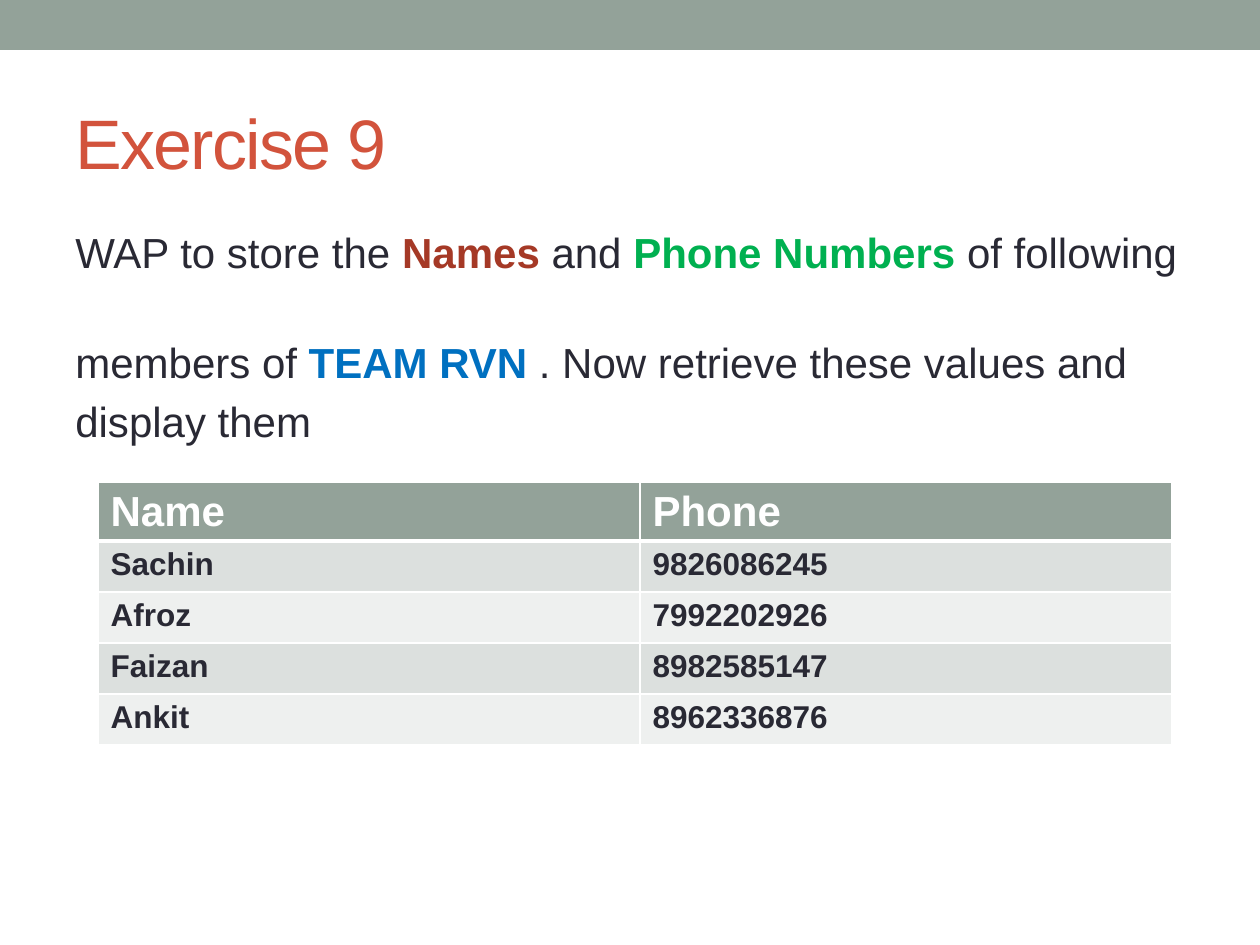
from lxml import etree
from pptx import Presentation
from pptx.dml.color import RGBColor
from pptx.enum.shapes import MSO_SHAPE
from pptx.enum.text import MSO_ANCHOR, PP_ALIGN
from pptx.oxml.ns import qn
from pptx.util import Pt

RECT = MSO_SHAPE.RECTANGLE
MIDDLE = MSO_ANCHOR.MIDDLE
LEFT = PP_ALIGN.LEFT

SAGE = RGBColor(0x93, 0xA2, 0x99)
BAND_DARK = RGBColor(0xDC, 0xE0, 0xDE)
BAND_LIGHT = RGBColor(0xEE, 0xF0, 0xEF)
WHITE = RGBColor(0xFF, 0xFF, 0xFF)
INK = RGBColor(0x29, 0x29, 0x34)
ORANGE = RGBColor(0xD2, 0x53, 0x3C)
RUST = RGBColor(0xA5, 0x39, 0x26)
GREEN = RGBColor(0x00, 0xB0, 0x50)
BLUE = RGBColor(0x00, 0x70, 0xC0)


def px(*values):
    return [round(v * 914400 / 126) for v in values]


def add_run(p, text, color, **fmt):
    r = p.add_run()
    r.text = text
    r.font.color.rgb = color
    for name, value in {"name": "Arial", **fmt}.items():
        setattr(r.font, name, value)
    return r


prs = Presentation()
prs.slide_width, prs.slide_height = px(1260, 945)
s = prs.slides.add_slide(prs.slide_layouts[5])

bar = s.shapes.add_shape(RECT, *px(0, 0, 1260, 50))
bar.shadow.inherit = False
bar.fill.solid()
bar.fill.fore_color.rgb = SAGE
bar.line.fill.background()

title = s.shapes.title
title.left, title.top, title.width, title.height = px(63, 73, 1134, 136)
tf = title.text_frame
tf.vertical_anchor = MIDDLE
p = tf.paragraphs[0]
p.alignment = LEFT
r = add_run(p, "Exercise 9", ORANGE, size=Pt(40))
r.font._element.set("spc", "-100")

lines = [
    (0, [("WAP to store the ", INK), ("Names", RUST), (" and ", INK),
         ("Phone Numbers ", GREEN), ("of following", INK)]),
    (34, [("members of ", INK), ("TEAM RVN ", BLUE),
          (". Now retrieve these values and", INK)]),
    (4.5, [("display them", INK)]),
]
body = s.shapes.add_textbox(*px(63, 220, 1134, 240))
tf = body.text_frame
tf.word_wrap = True
tf.margin_top = px(7)[0]
for i, (gap, runs) in enumerate(lines):
    p = tf.add_paragraph() if i else tf.paragraphs[0]
    p.space_before = Pt(gap)
    for text, color in runs:
        add_run(p, text, color, size=Pt(24), bold=color != INK)

rows = [
    ("Name", "Phone"),
    ("Sachin", "9826086245"),
    ("Afroz", "7992202926"),
    ("Faizan", "8982585147"),
    ("Ankit", "8962336876"),
]
table = s.shapes.add_table(len(rows), 2, *px(98, 482, 1074, 263)).table
for col, width in zip(table.columns, px(542, 532)):
    col.width = width
for i, row in enumerate(rows):
    table.rows[i].height = px(51 if i else 59)[0]
    fill = (BAND_DARK if i % 2 else BAND_LIGHT) if i else SAGE
    for j, text in enumerate(row):
        cell = table.cell(i, j)
        cell.margin_bottom = px(2)[0]
        tc_pr = cell._tc.get_or_add_tcPr()
        for side in ("lnL", "lnR", "lnT", "lnB"):
            thick = (i, side) in ((0, "lnB"), (1, "lnT"))
            ln = etree.SubElement(tc_pr, qn(f"a:{side}"), w=str(Pt(3 if thick else 1)))
            line_fill = etree.SubElement(ln, qn("a:solidFill"))
            etree.SubElement(line_fill, qn("a:srgbClr"), val=str(WHITE))
        cell.fill.solid()
        cell.fill.fore_color.rgb = fill
        add_run(cell.text_frame.paragraphs[0], text, INK if i else WHITE,
                size=Pt(18 if i else 24), bold=True)

prs.save("out.pptx")
